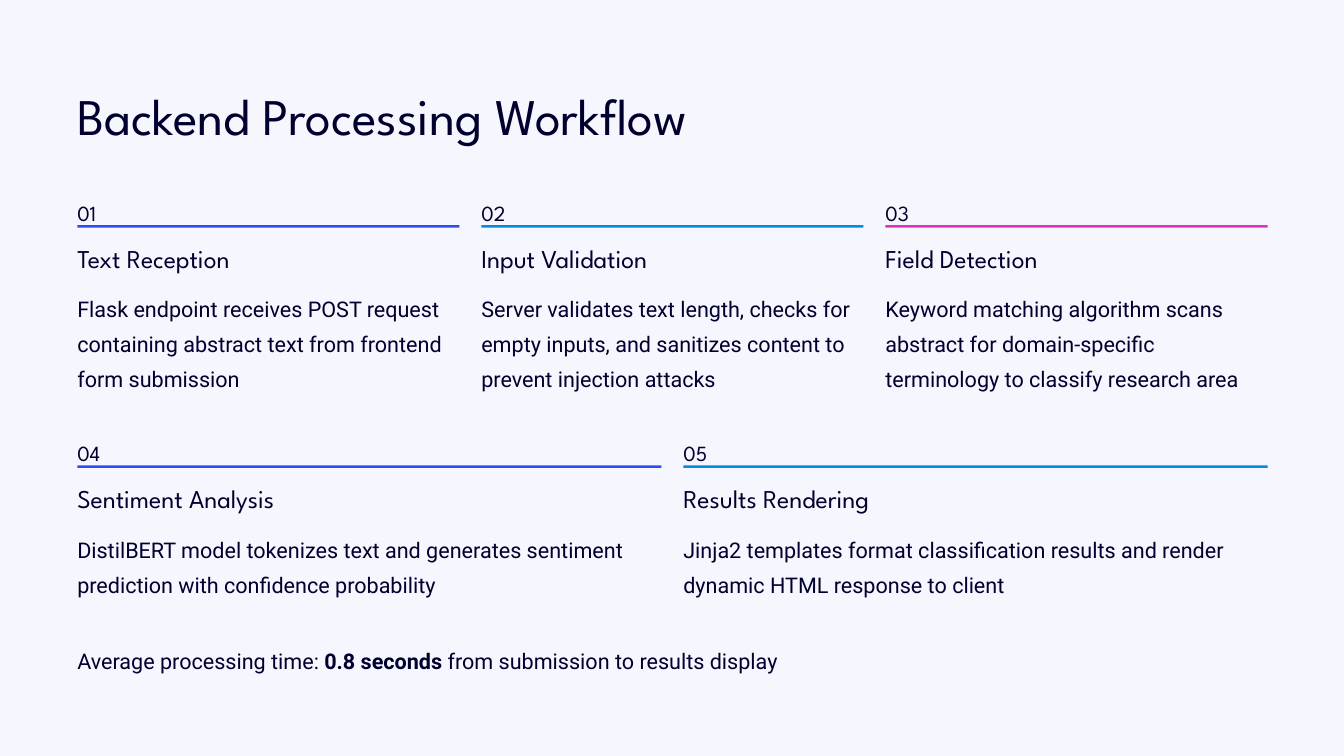
from lxml.etree import SubElement
from pptx import Presentation
from pptx.dml.color import RGBColor
from pptx.enum.shapes import MSO_SHAPE as Shape
from pptx.oxml.ns import qn
from pptx.util import Inches, Pt


def block(code, left, top, width, height):
    shape = slide.shapes.add_shape(
        Shape.RECTANGLE, Inches(left), Inches(top), Inches(width), Inches(height))
    shape.shadow.inherit = False
    shape.fill.solid()
    shape.fill.fore_color.rgb = RGBColor.from_string(code)
    shape.line.fill.background()
    return shape


def write(text, left, top, width, height, size=18.5, font="Roboto", line=30, wrap=False, code="00002E"):
    box = slide.shapes.add_textbox(Inches(left), Inches(top), Inches(width), Inches(height))
    frame = box.text_frame
    frame.margin_left = frame.margin_right = frame.margin_top = frame.margin_bottom = 0
    frame.word_wrap = wrap
    para = frame.paragraphs[0]
    para.line_spacing = Pt(line)
    for index, part in enumerate(text.split("**")):
        run = para.add_run()
        run.text = part
        run.font.size = Pt(size)
        run.font.name = font
        run.font.bold = index % 2 == 1
        run.font.color.rgb = RGBColor.from_string(code)


deck = Presentation()
deck.slide_width, deck.slide_height = Inches(16), Inches(9)
slide = deck.slides.add_slide(deck.slide_layouts[6])

HEAD = "League Spartan"
LEFT, FULL, GAP = 0.92, 14.17, 0.26
ACCENTS = ["2D4DF2", "018CE1", "DA33BF"]

tint = block("F3F3FF", 0, 0, 16, 9)
shade = tint.element.spPr.find(qn("a:solidFill")).find(qn("a:srgbClr"))
SubElement(shade, qn("a:alpha")).set("val", "75000")

rows = [
    (2.27, 1.26, [
        ("Text Reception", "Flask endpoint receives POST request containing abstract text from frontend form submission"),
        ("Input Validation", "Server validates text length, checks for empty inputs, and sanitizes content to prevent injection attacks"),
        ("Field Detection", "Keyword matching algorithm scans abstract for domain-specific terminology to classify research area"),
    ]),
    (5.13, 0.84, [
        ("Sentiment Analysis", "DistilBERT model tokenizes text and generates sentiment prediction with confidence probability"),
        ("Results Rendering", "Jinja2 templates format classification results and render dynamic HTML response to client"),
    ]),
]

write("Backend Processing Workflow", LEFT, 0.97, 8.57, 0.77, size=44, font=HEAD, line=55)

number = 0
for top, height, steps in rows:
    width = (FULL - GAP * (len(steps) - 1)) / len(steps)
    for col, (title, body) in enumerate(steps):
        number += 1
        left = LEFT + col * (width + GAP)
        write(f"{number:02}", left, top, 0.4, 0.33, font=HEAD, wrap=True)
        block(ACCENTS[col], left, top + 0.41, width, 0.03)
        write(title, left, top + 0.6, 3.08, 0.38, size=22, font=HEAD, line=27.5)
        write(body, left, top + 1.15, width, height, wrap=True)

write("Average processing time: **0.8 seconds** from submission to results display",
      LEFT, 7.61, FULL, 0.42)

deck.save("out.pptx")
